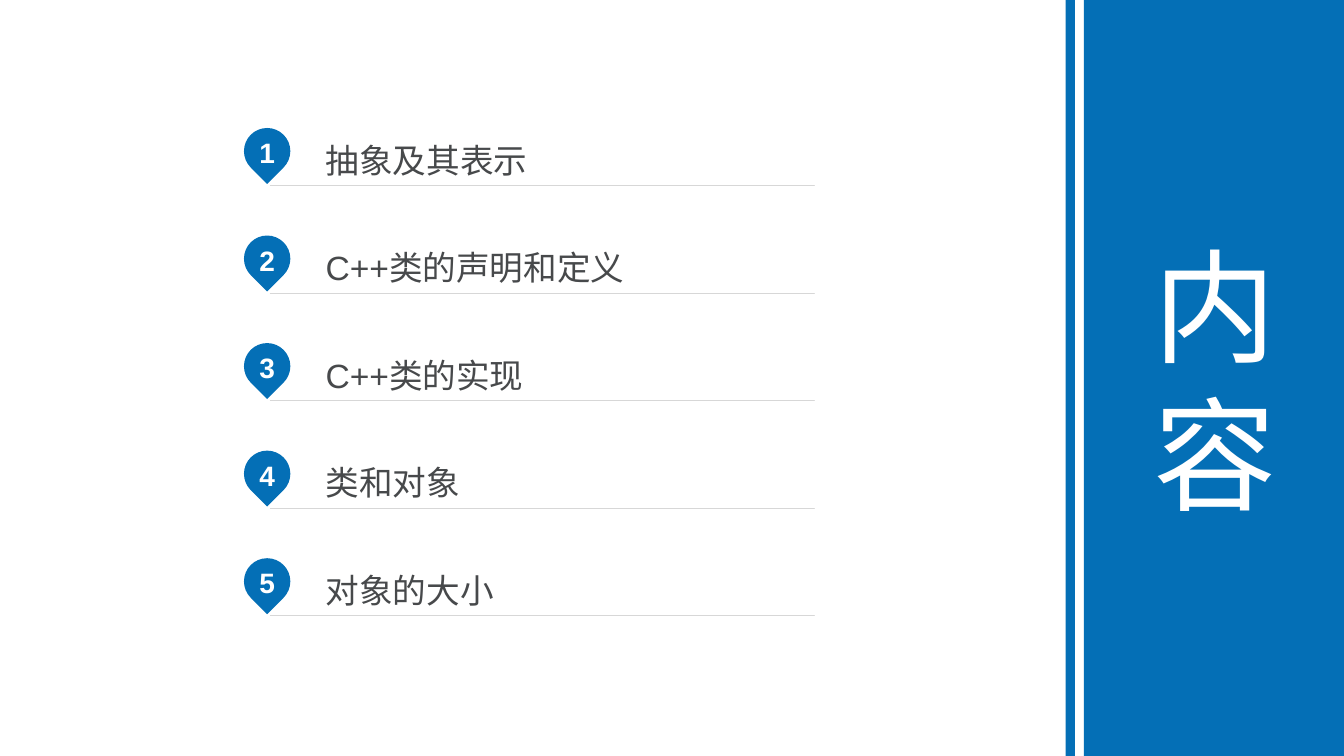
import math

import lxml.etree
import pptx
import pptx.dml.color
import pptx.enum.shapes
import pptx.enum.text
import pptx.oxml.ns
import pptx.util

Inches = pptx.util.Inches
BLUE, WHITE, TEXT_GREY, LINE_GREY = "046FB6", "FFFFFF", "47494B", "D7D7D7"


def paint(fill, color):
    fill.solid()
    fill.fore_color.rgb = pptx.dml.color.RGBColor.from_string(color)


def write(shape, text, size, color, alignment, margins, bold=False):
    frame = shape.text_frame
    frame.word_wrap = True
    frame.vertical_anchor = pptx.enum.text.MSO_ANCHOR.MIDDLE
    (frame.margin_left, frame.margin_top,
     frame.margin_right, frame.margin_bottom) = [Inches(margin) for margin in margins]
    paragraph = frame.paragraphs[0]
    paragraph.alignment = alignment
    run = paragraph.add_run()
    run.text = text
    run.font.name = "Arial"
    run.font.size = pptx.util.Pt(size)
    run.font.bold = bold
    paint(run.font.fill, color)
    return paragraph


presentation = pptx.Presentation()
presentation.slide_width = Inches(13.33)
presentation.slide_height = Inches(7.5)
slide = presentation.slides.add_slide(presentation.slide_layouts[6])
paint(slide.background.fill, WHITE)
LEFT = pptx.enum.text.PP_ALIGN.LEFT
CENTER = pptx.enum.text.PP_ALIGN.CENTER

# Agenda: numbered pin and underlined topic per row
topics = ["抽象及其表示", "C++类的声明和定义", "C++类的实现", "类和对象", "对象的大小"]
first_top, row_step = 1.27, 1.067
pin_x, radius = 2.65, 0.23
line_left, line_width, row_height = 2.68, 5.4, 0.55

# Pin outline around its centre: a start point, then three points per curve
arc_angles = [math.radians(angle) for angle in (135, 180, 270, 360, 405)]
outline = [(math.cos(arc_angles[0]), math.sin(arc_angles[0]))]
for start, end in zip(arc_angles, arc_angles[1:]):
    handle = 4 / 3 * math.tan((end - start) / 4)
    outline += [
        (math.cos(start) - handle * math.sin(start), math.sin(start) + handle * math.cos(start)),
        (math.cos(end) + handle * math.sin(end), math.sin(end) - handle * math.cos(end)),
        (math.cos(end), math.sin(end))]

for index, topic in enumerate(topics):
    top = first_top + index * row_step

    # Pin: a round head whose two tangents meet in the tip
    center_y = top + radius
    builder = slide.shapes.build_freeform(
        Inches(pin_x), Inches(center_y + radius * math.sqrt(2)))
    builder.add_line_segments(
        [(Inches(pin_x + radius * x), Inches(center_y + radius * y)) for x, y in outline],
        close=True)
    pin = builder.convert_to_shape()
    segments = list(pin._element.iter(pptx.oxml.ns.qn("a:lnTo")))[1:len(outline)]
    for first in range(0, len(segments), 3):
        curve = lxml.etree.Element(pptx.oxml.ns.qn("a:cubicBezTo"))
        segments[first].addprevious(curve)
        for segment in segments[first:first + 3]:
            curve.append(segment[0])
            segment.getparent().remove(segment)
    pin.shadow.inherit = False
    paint(pin.fill, BLUE)
    pin.line.fill.background()
    write(pin, str(index + 1), 20, WHITE, CENTER, (0.1, 0.05, 0.1, 0.12), bold=True)

    # Topic: a row of text whose outline is only its bottom edge
    topic_top = top + 0.02
    topic_bottom = topic_top + row_height
    builder = slide.shapes.build_freeform(Inches(line_left), Inches(topic_bottom))
    builder.add_line_segments(
        [(Inches(line_left + line_width), Inches(topic_bottom))], close=True)
    builder.move_to(Inches(line_left), Inches(topic_top))
    builder.add_line_segments([(Inches(line_left), Inches(topic_top))], close=True)
    topic_row = builder.convert_to_shape()
    topic_row.shadow.inherit = False
    topic_row.fill.background()
    paint(topic_row.line.fill, LINE_GREY)
    topic_row.line.width = pptx.util.Pt(0.25)
    paragraph = write(topic_row, topic, 24, TEXT_GREY, LEFT, (0.55, 0, 0, 0.04))
    paragraph.line_spacing = 1.2

# Title panel and the narrow stripe beside it
bars = []
for left, top, width, height in [(10.75, 0, 2.6, 7.5), (10.57, -0.02, 0.09, 7.52)]:
    bar = slide.shapes.add_shape(
        pptx.enum.shapes.MSO_SHAPE.RECTANGLE,
        Inches(left), Inches(top), Inches(width), Inches(height))
    bar.shadow.inherit = False
    paint(bar.fill, BLUE)
    bar.line.fill.background()
    bars.append(bar)
write(bars[0], "内容", 88, WHITE, CENTER, (0.1, 0.05, 0.1, 0.05))

presentation.save("out.pptx")
